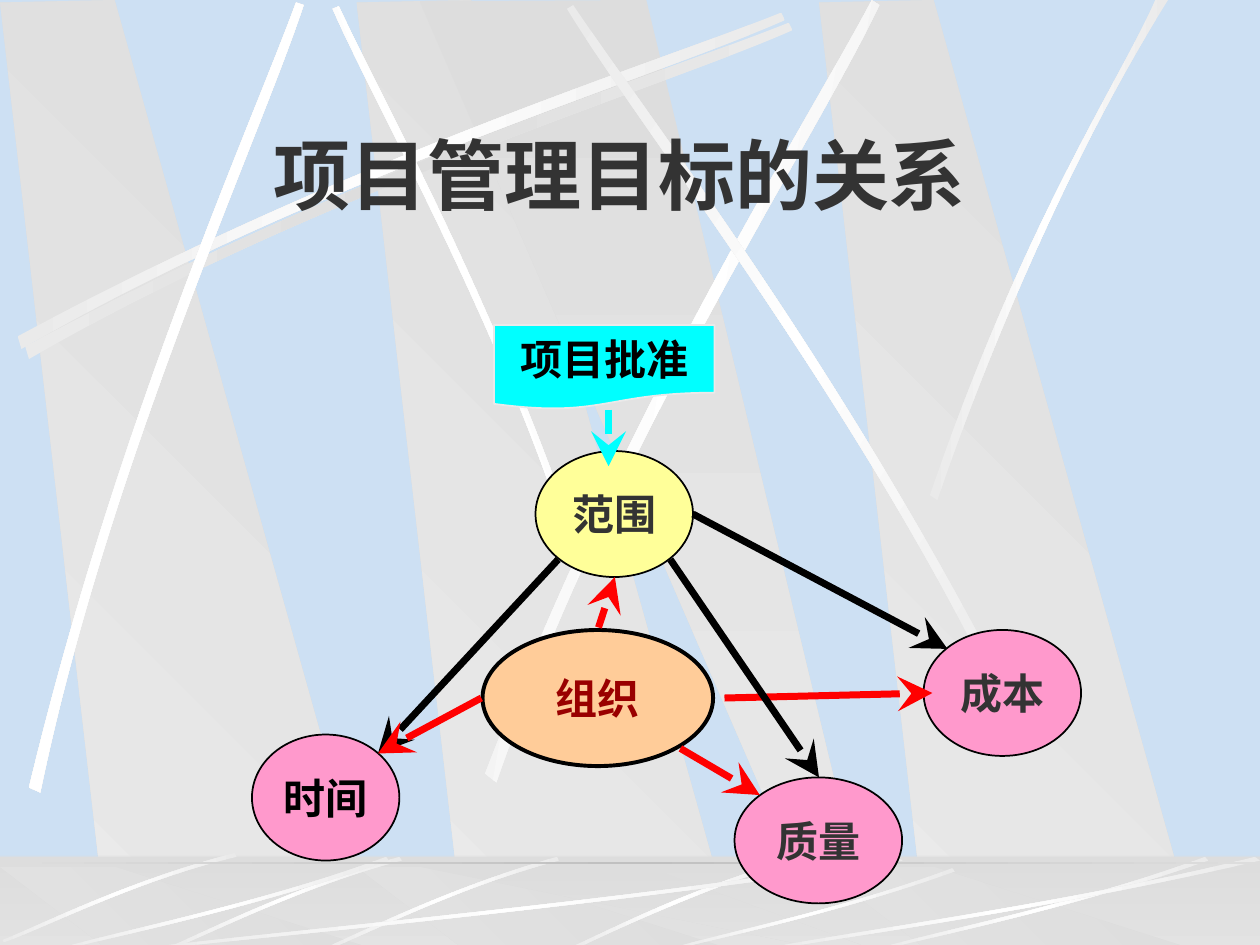
from dataclasses import dataclass

from lxml import etree
from pptx import Presentation
from pptx import util as u
from pptx.dml.color import RGBColor
from pptx.enum import shapes, text
from pptx.oxml.ns import qn


@dataclass(frozen=True)
class Theme:
    """Colours, fonts and type sizes of the slide."""
    sky: str = "CDE0F3"
    grey: str = "DDDDDD"
    pale: str = "EAEAEA"
    white: str = "FFFFFF"
    seam: str = "C0C0C0"
    ink: str = "333333"
    black: str = "000000"
    red: str = "FF0000"
    dark_red: str = "990000"
    cyan: str = "00FFFF"
    yellow: str = "FFFF99"
    pink: str = "FF99CC"
    peach: str = "FFCC99"
    title_font: str = "Montserrat"
    body_font: str = "Times New Roman"
    title_size: int = 44
    body_size: int = 24
    arrow_width: float = 4


T = Theme()
CONCRETE = (T.grey, T.pale)
SHINE = (T.pale, T.white, T.pale)

PILLAR_X = (2.83, 0, 6.5)
PILLAR = [(0.86, 7.5), (3.02, 7.52), (0.91, 0), (0, 0.02)]
BRACE = [(3.33, 0.01), (6.58, 7.51), (6.94, 7.51), (5.13, 0)]
PILLAR_FOOT = [(0.86, 7.54), (3.02, 7.55), (0.91, 6.88), (0, 6.88)]
BRACE_FOOT = [(3.33, 6.88), (6.58, 7.54), (6.94, 7.54), (5.13, 6.88)]

# Each ribbon is two cubic edges: four points there, four points back.
BEAM = [(0.14, 2.67), (2.78, 1.25), (5.18, 0.51), (6.2, 0.1),
        (6.23, 0.16), (5.22, 0.61), (2.48, 1.43), (0.17, 2.77)]
LEFT_BRANCH = [(4.6, 4.36), (3.91, 2.34), (3.02, 0.77), (2.69, 0.05),
               (2.64, 0.07), (2.95, 0.79), (3.98, 2.58), (4.54, 4.39)]
TALL_RIBBONS = [
    (20, [(0.23, 6.25), (0.93, 3.34), (1.97, 1.05), (2.35, 0.02),
          (2.41, 0.04), (2.07, 1.08), (0.86, 3.68), (0.32, 6.29)]),
    (10, [(3.85, 6.14), (4.98, 3.2), (6.38, 1.02), (6.92, 0),
          (6.98, 0.04), (6.49, 1.08), (4.86, 3.55), (3.94, 6.21)]),
    (35, [(8.06, 5.6), (6.7, 2.93), (5.16, 0.95), (4.55, 0.04),
          (4.5, 0.07), (5.07, 1.01), (6.85, 3.25), (7.99, 5.66)]),
    (0, [(7.38, 3.93), (8.14, 1.73), (8.88, 0.66), (9.17, 0),
         (9.27, 0), (8.36, 1.45), (7.69, 3.22), (7.44, 3.97)]),
]
FLOOR_CURVE = [(4.42, 6.8), (3.55, 7.05), (2.87, 7.4), (2.56, 7.53),
               (2.57, 7.55), (2.88, 7.43), (3.65, 7.03), (4.44, 6.83)]
FLOOR_RIBBONS = [
    [(6.27, 6.82), (5.37, 7.09), (4.77, 7.42), (4.48, 7.54),
     (4.53, 7.55), (4.9, 7.37), (5.71, 7), (6.28, 6.85)],
    FLOOR_CURVE,
    [(x - 1.25, y) for x, y in FLOOR_CURVE],
    [(1.86, 6.77), (0.99, 7), (0.33, 7.34), (0.02, 7.46),
     (0.03, 7.48), (0.34, 7.37), (1.1, 6.98), (1.88, 6.8)],
]
# Unit outline, and the left, top, width and height of every streak.
STREAK = [(1, 0.04), (0.57, 0.57), (0.17, 0.85), (0.01, 1),
          (0, 0.99), (0.16, 0.81), (0.61, 0.51), (0.99, 0)]
STREAKS = [(1, 6.8, 6.17, 0.75), (0.42, 6.8, 2.67, 0.75), (5.27, 6.89, 2.31, 0.66),
           (6.92, 6.8, 2.67, 0.75), (6, 6.8, 4, 0.75)]

ELLIPSE = shapes.MSO_SHAPE.OVAL
NODES = [
    ("项目批准", shapes.MSO_SHAPE.FLOWCHART_DOCUMENT, (3.92, 2.58, 1.75, 0.67),
     T.cyan, T.pale, 1, T.black),
    ("范围", ELLIPSE, (4.25, 3.58, 1.25, 1), T.yellow, T.black, 1, T.ink),
    ("成本", ELLIPSE, (7.33, 5, 1.25, 1), T.pink, T.black, 1, T.ink),
    ("时间", ELLIPSE, (2, 5.83, 1.17, 1), T.pink, T.black, 1, T.black),
    ("质量", ELLIPSE, (5.83, 6.17, 1.33, 1), T.pink, T.black, 1, T.ink),
    ("组织", ELLIPSE, (3.83, 5, 1.83, 1.08), T.peach, T.black, 2.25, T.dark_red),
]
ARROWS = [
    ((4.43, 4.44), (3, 5.98), T.black),
    ((3.82, 5.54), (3, 5.98), T.red),
    ((5.5, 4.08), (7.52, 5.15), T.black),
    ((5.75, 5.54), (7.4, 5.5), T.red),
    ((4.75, 4.98), (4.88, 4.58), T.red),
    ((4.83, 3.25), (4.83, 3.7), T.cyan),
    ((5.32, 4.44), (6.5, 6.17), T.black),
    ((5.4, 5.94), (6.03, 6.31), T.red),
]


def rgb(value):
    """Turn a hex string into a colour."""
    return RGBColor.from_string(value)


def shift(points, dx, dy=0):
    """Move points by an offset."""
    return [(x + dx, y + dy) for x, y in points]


def paint(sp, colors, angle):
    """Give a borderless shape evenly spaced gradient stops, angle clockwise."""
    sp.shadow.inherit = False
    sp.line.fill.background()
    sp.fill.gradient()
    sp.fill.gradient_angle = (360 - angle) % 360
    stops = next(sp.element.iter(qn("a:gsLst")))
    for stop in list(stops):
        stops.remove(stop)
    for i, color in enumerate(colors):
        stop = etree.SubElement(stops, qn("a:gs"), pos=str(i * 100000 // (len(colors) - 1)))
        etree.SubElement(stop, qn("a:srgbClr"), val=color)


def add_outline(grp, points, colors, angle):
    """Draw a closed polygon with a gradient."""
    emu = [(u.Inches(x), u.Inches(y)) for x, y in points]
    builder = grp.shapes.build_freeform(*emu[0], scale=1.0)
    builder.add_line_segments(emu[1:], close=True)
    sp = builder.convert_to_shape()
    paint(sp, colors, angle)
    return sp


def add_ribbon(grp, points, colors=SHINE, angle=0):
    """Draw a tapering ribbon, bending its two long edges into cubic curves."""
    sp = add_outline(grp, points, colors, angle)
    lines = list(sp.element.iter(qn("a:lnTo")))
    for edge in (lines[:3], lines[4:7]):
        curve = etree.Element(qn("a:cubicBezTo"))
        edge[0].addprevious(curve)
        for line in edge:
            curve.append(line[0])
            line.getparent().remove(line)


def add_band(grp, top, height, colors, angle):
    """Draw a gradient band across the slide."""
    sp = grp.shapes.add_shape(shapes.MSO_SHAPE.RECTANGLE, 0, u.Inches(top),
                              u.Inches(10), u.Inches(height))
    paint(sp, colors, angle)
    return sp


def add_wall(grp):
    """Draw the pillars and the ribbons in front of them."""
    for x in PILLAR_X:
        add_outline(grp, shift(PILLAR, x), CONCRETE, 135)
    add_outline(grp, BRACE, CONCRETE, 90)
    add_ribbon(grp, shift(BEAM, 0.06, 0.08), (T.pale, T.grey, T.pale))
    add_ribbon(grp, LEFT_BRANCH, angle=340)
    add_ribbon(grp, BEAM)
    for angle, points in TALL_RIBBONS:
        add_ribbon(grp, points, angle=angle)


def add_floor(grp):
    """Draw the floor with its reflections and seam."""
    add_band(grp, 6.8, 0.75, CONCRETE, 90)
    for x in PILLAR_X:
        add_outline(grp, shift(PILLAR_FOOT, x), CONCRETE, 135)
    add_outline(grp, BRACE_FOOT, CONCRETE, 90)
    veil = add_band(grp, 6.79, 0.75, CONCRETE, 0)
    veil.fill.solid()
    veil.fill.fore_color.rgb = rgb(T.grey)
    color = veil.element.spPr.find(qn("a:solidFill")).find(qn("a:srgbClr"))
    etree.SubElement(color, qn("a:alpha"), val="50000")
    for points in FLOOR_RIBBONS:
        add_ribbon(grp, points)
    for x, y, w, h in STREAKS:
        add_ribbon(grp, [(x + px * w, y + py * h) for px, py in STREAK])
    add_band(grp, 6.84, 0.02, (T.grey, T.seam, T.grey), 0)


def dress_master(prs, s):
    """Build the scenery as a group and move it to the back of the master."""
    master = prs.slide_master
    master.background.fill.solid()
    master.background.fill.fore_color.rgb = rgb(T.sky)
    grp = s.shapes.add_group_shape()
    add_wall(grp)
    add_floor(grp)
    for number, props in enumerate(grp.element.iter(qn("p:cNvPr")), 100):
        props.set("id", str(number))
    master.shapes.element.insert(2, grp.element)


def write(sp, words, font, size, color):
    """Put one centred bold line in a shape."""
    tf = sp.text_frame
    tf.text = words
    tf.vertical_anchor = text.MSO_ANCHOR.MIDDLE
    p = tf.paragraphs[0]
    p.alignment = text.PP_ALIGN.CENTER
    r = p.runs[0]
    r.font.name, r.font.size, r.font.bold = font, u.Pt(size), True
    r.font.color.rgb = rgb(color)


def add_title(s, words):
    """Place and format the title."""
    sp = s.shapes.title
    sp.left, sp.top, sp.width, sp.height = map(u.Inches, (0.67, 0.75, 8.5, 1.25))
    write(sp, words, T.title_font, T.title_size, T.ink)


def add_node(s, words, kind, box, fill, line, width, color):
    """Draw one labelled node."""
    sp = s.shapes.add_shape(kind, *map(u.Inches, box))
    sp.shadow.inherit = False
    sp.fill.solid()
    sp.fill.fore_color.rgb = rgb(fill)
    sp.line.color.rgb = rgb(line)
    sp.line.width = u.Pt(width)
    write(sp, words, T.body_font, T.body_size, color)
    sp.text_frame.word_wrap = False


def add_arrow(s, start, end, color):
    """Draw a straight arrow with a large stealth head."""
    cx = s.shapes.add_connector(shapes.MSO_CONNECTOR.STRAIGHT, *map(u.Inches, start + end))
    cx.line.color.rgb = rgb(color)
    cx.line.width = u.Pt(T.arrow_width)
    ln = cx.element.spPr.find(qn("a:ln"))
    etree.SubElement(ln, qn("a:tailEnd"), type="stealth", w="lg", len="lg")
    etree.SubElement(cx.element.spPr, qn("a:effectLst"))


def main():
    """Build the slide."""
    prs = Presentation()
    prs.slide_width, prs.slide_height = u.Inches(10), u.Inches(7.5)
    s = prs.slides.add_slide(prs.slide_layouts[5])
    dress_master(prs, s)
    add_title(s, "项目管理目标的关系")
    for node in NODES:
        add_node(s, *node)
    for arrow in ARROWS:
        add_arrow(s, *arrow)
    prs.save("out.pptx")


main()
